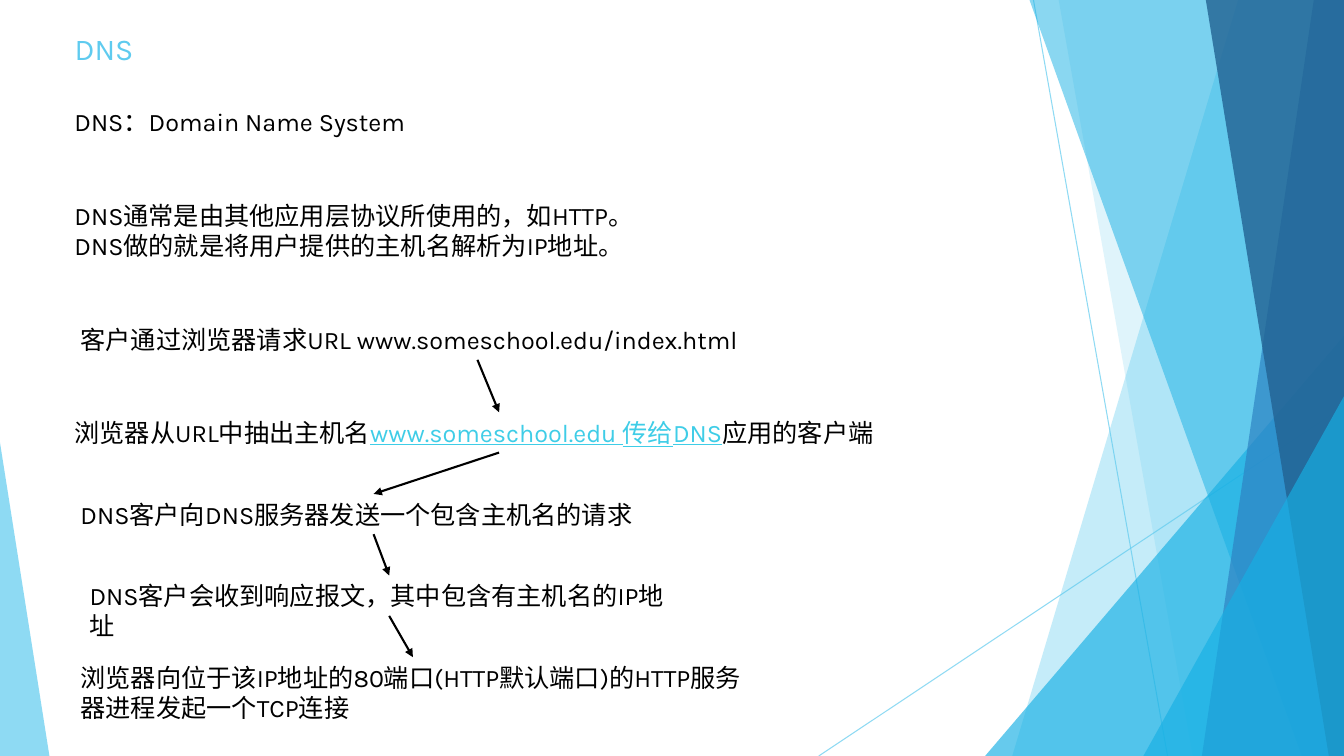
from dataclasses import dataclass

from pptx import Presentation
from pptx.dml.color import RGBColor
from pptx.enum.shapes import MSO_CONNECTOR, MSO_SHAPE
from pptx.enum.text import MSO_ANCHOR, MSO_AUTO_SIZE, PP_ALIGN
from pptx.oxml.ns import qn
from pptx.util import Inches, Pt
from lxml.etree import SubElement

FONT = "Karla"
SKY, AZURE, BLUE, NAVY = "5FCBEF", "17B0E4", "2E83C3", "226292"
BLACK, LINK = "000000", "3FCDE7"


@dataclass
class Box:
    x: int
    y: int
    w: int
    h: int

    def spot(self, x, y):
        return round(self.x + self.w * x / 100), round(self.y + self.h * y / 100)

    def inner(self, x, y, w, h):
        return Box(*self.spot(x, y), round(self.w * w / 100), round(self.h * h / 100))

    def rect(self):
        return self.x, self.y, self.w, self.h


def paint(fill, color, alpha=100):
    fill.solid()
    fill.fore_color.rgb = RGBColor.from_string(color)
    if alpha < 100:
        for tone in fill._xPr.iter(qn("a:srgbClr")):
            SubElement(tone, qn("a:alpha")).set("val", str(alpha * 1000))


def facet(shape, color, alpha):
    shape.shadow.inherit = False
    shape.line.fill.background()
    paint(shape.fill, color, alpha)


def line(slide, start, end, color, width, alpha=100):
    link = slide.shapes.add_connector(MSO_CONNECTOR.STRAIGHT, *start, *end)
    link.line.width = Pt(width)
    paint(link.line.fill, color, alpha)
    SubElement(link._element.spPr, qn("a:effectLst"))
    return link


def arrow(slide, upper, lower):
    link = line(slide, (0, 0), (0, 0), BLACK, 1.5)
    link.begin_connect(upper, 2)
    link.end_connect(lower, 0)
    SubElement(link.line._get_or_add_ln(), qn("a:tailEnd")).set("type", "triangle")


def blade(slide, box, top, foot, color, alpha):
    pen = slide.shapes.build_freeform(*box.spot(top, 0))
    pen.add_line_segments([box.spot(100, 0), box.spot(100, 100), box.spot(foot, 100)])
    facet(pen.convert_to_shape(), color, alpha)


def wedge(slide, box, tip, color, alpha):
    shape = slide.shapes.add_shape(MSO_SHAPE.ISOSCELES_TRIANGLE, *box.rect())
    shape.adjustments[0] = tip
    facet(shape, color, alpha)


def corner(slide, box, left, top):
    wedge(slide, box.inner(left, top, 100 - left, 100 - top), 1, AZURE, 66)


def panel(slide, box):
    line(slide, box.spot(40.88, 0), box.spot(66.41, 100), SKY, 0.75, 70)
    line(slide, box.spot(100, 53.73), box.spot(0, 100), SKY, 0.75, 70)
    blade(slide, box, 79.85, 36.85, SKY, 36)
    blade(slide, box, 45.68, 71.21, SKY, 20)
    corner(slide, box, 31.67, 44.4)
    blade(slide, box, 40.12, 91.94, AZURE, 50)
    blade(slide, box, 94.24, 72.94, BLUE, 70)
    blade(slide, box, 73.7, 97.12, NAVY, 80)
    corner(slide, box, 61.8, 52.4)


def write(para, text, color=BLACK, size=18, under=False):
    run = para.add_run()
    run.text = text
    run.font.name = FONT
    run.font.size = Pt(size)
    run.font.underline = under
    paint(run.font.fill, color)


def note(slide, box, *lines):
    shape = slide.shapes.add_textbox(*box.rect())
    frame = shape.text_frame
    frame.word_wrap = True
    frame.auto_size = MSO_AUTO_SIZE.NONE
    for i, runs in enumerate(lines):
        para = frame.add_paragraph() if i else frame.paragraphs[0]
        for text, color in runs:
            write(para, text, color, under=color == LINK)
    return shape


def head(slide, box):
    title = slide.shapes.title
    title.left, title.top, title.width, title.height = box.rect()
    frame = title.text_frame
    frame.auto_size = MSO_AUTO_SIZE.NONE
    frame.vertical_anchor = MSO_ANCHOR.MIDDLE
    para = frame.paragraphs[0]
    para.alignment = PP_ALIGN.LEFT
    write(para, "DNS", SKY, 21.6)


def intro(slide, box):
    note(slide, box.inner(0, 0, 100, 24.39), [("DNS：Domain Name System", BLACK)])
    note(slide, box.inner(0, 56.71, 92.48, 43.29),
         [("DNS通常是由其他应用层协议所使用的，如HTTP。", BLACK)],
         [("DNS做的就是将用户提供的主机名解析为IP地址。", BLACK)])


def flow(slide, box):
    steps = [
        (0.7, 0, 93.62, 9.85,
         [("客户通过浏览器请求URL www.someschool.edu/index.html", BLACK)]),
        (0, 22.66, 100, 9.85,
         [("浏览器从URL中抽出主机名", BLACK),
          ("www.someschool.edu 传给DNS", LINK),
          ("应用的客户端", BLACK)]),
        (0.7, 42.61, 69.72, 9.85,
         [("DNS客户向DNS服务器发送一个包含主机名的请求", BLACK)]),
        (1.74, 62.56, 71.23, 9.85,
         [("DNS客户会收到响应报文，其中包含有主机名的IP地址", BLACK)]),
        (0.7, 82.51, 78.77, 17.49,
         [("浏览器向位于该IP地址的80端口(HTTP默认端口)的HTTP服务器进程发起一个TCP连接", BLACK)]),
    ]
    notes = [note(slide, box.inner(*place), runs) for *place, runs in steps]
    for upper, lower in zip(notes, notes[1:]):
        arrow(slide, upper, lower)


def main():
    deck = Presentation()
    deck.slide_width, deck.slide_height = Inches(13.33), Inches(7.5)
    page = Box(0, 0, deck.slide_width, deck.slide_height)
    slide = deck.slides.add_slide(deck.slide_layouts[5])
    panel(slide, page.inner(60.92, 0, 39.08, 100))
    wedge(slide, page.inner(0, 58.53, 3.68, 41.47), 0, SKY, 70)
    head(slide, page.inner(4.8, 3.07, 13.5, 6.53))
    intro(slide, page.inner(4.8, 13.47, 59.86, 21.87))
    flow(slide, page.inner(4.8, 42.27, 64.67, 54.13))
    deck.save("out.pptx")


if __name__ == "__main__":
    main()
